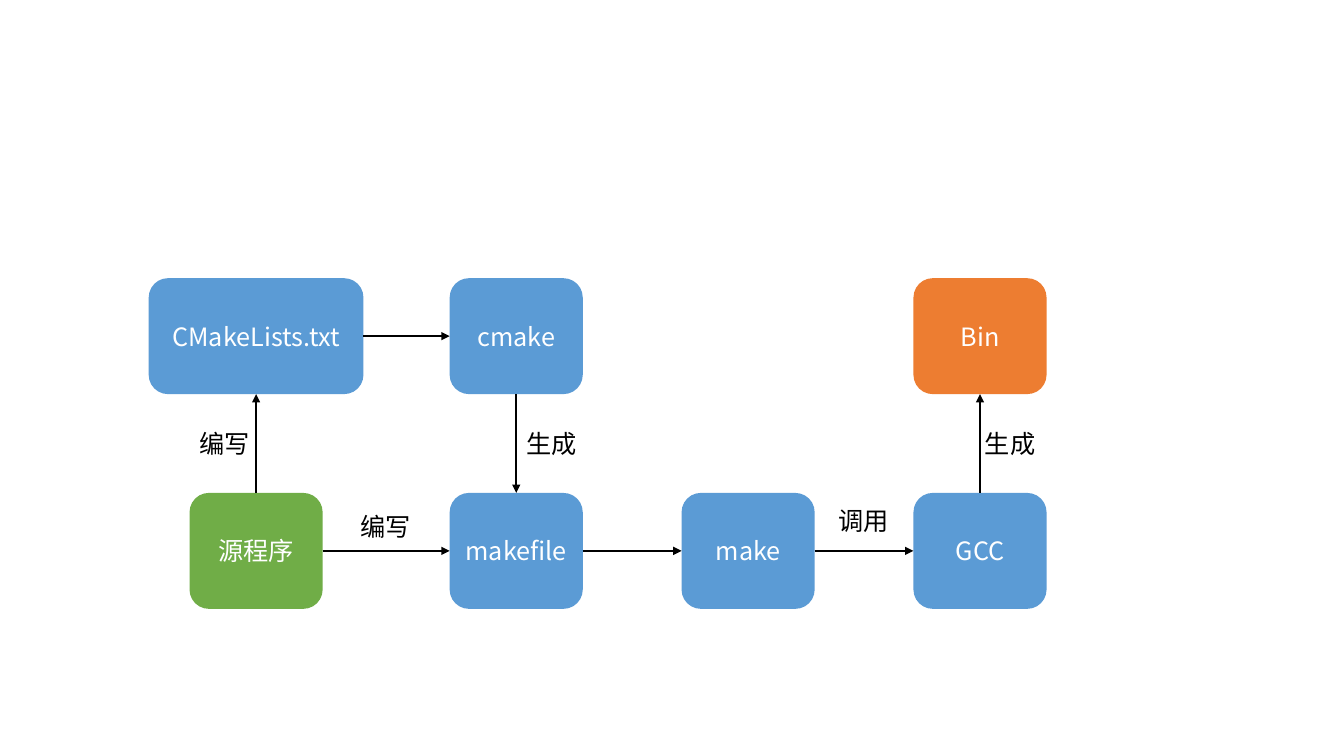
"""Build a slide showing how source code becomes a binary through cmake, make and GCC."""
import pptx
import pptx.dml.color
import pptx.enum.shapes
import pptx.enum.text
import pptx.oxml
import pptx.oxml.ns
import pptx.util
from pptx.util import Inches

COLORS = {
    "source": "70AD47",
    "step": "5B9BD5",
    "result": "ED7D31",
    "light": "FFFFFF",
    "dark": "000000",
}
FONT = "Noto Sans CJK SC"
UPPER_ROW, LOWER_ROW = 2.76, 4.89
NODE_WIDTH, NODE_HEIGHT = 1.32, 1.15
TOP, LEFT, BOTTOM, RIGHT = range(4)

NODES = {
    "源程序": (2.54, LOWER_ROW, "source", NODE_WIDTH),
    "CMakeLists.txt": (2.54, UPPER_ROW, "step", 2.13),
    "makefile": (5.12, LOWER_ROW, "step", NODE_WIDTH),
    "cmake": (5.12, UPPER_ROW, "step", NODE_WIDTH),
    "make": (7.42, LOWER_ROW, "step", NODE_WIDTH),
    "GCC": (9.72, LOWER_ROW, "step", NODE_WIDTH),
    "Bin": (9.72, UPPER_ROW, "result", NODE_WIDTH),
}
ARROWS = [
    ("源程序", TOP, "CMakeLists.txt", BOTTOM),
    ("CMakeLists.txt", RIGHT, "cmake", LEFT),
    ("cmake", BOTTOM, "makefile", TOP),
    ("源程序", RIGHT, "makefile", LEFT),
    ("makefile", RIGHT, "make", LEFT),
    ("make", RIGHT, "GCC", LEFT),
    ("GCC", TOP, "Bin", BOTTOM),
]
LABELS = [
    ("编写", 1.88, 4.2),
    ("编写", 3.48, 5.02),
    ("生成", 5.12, 4.2),
    ("调用", 8.22, 4.96),
    ("生成", 9.67, 4.2),
]


def rgb(name):
    return pptx.dml.color.RGBColor.from_string(COLORS[name])


def add_element(parent, tag, **attributes):
    element = pptx.oxml.parse_xml(f"<{tag} {pptx.oxml.ns.nsdecls('a')}/>")
    for key, value in attributes.items():
        element.set(key, value)
    parent.append(element)


def write_text(frame, text, color="dark", size=18, align="LEFT", anchor="TOP", wrap=True):
    frame.word_wrap = wrap
    frame.vertical_anchor = getattr(pptx.enum.text.MSO_ANCHOR, anchor)
    para = frame.paragraphs[0]
    para.alignment = getattr(pptx.enum.text.PP_ALIGN, align)
    span = para.add_run()
    span.text = text
    span.font.size = pptx.util.Pt(size)
    span.font.color.rgb = rgb(color)
    span.font.name = FONT
    add_element(span.font._element, "a:ea", typeface=FONT)


def add_node(page, text, center, top, color, width):
    node = page.shapes.add_shape(
        pptx.enum.shapes.MSO_SHAPE.ROUNDED_RECTANGLE,
        Inches(center - width / 2), Inches(top), Inches(width), Inches(NODE_HEIGHT))
    node.shadow.inherit = False
    node.fill.solid()
    node.fill.fore_color.rgb = rgb(color)
    node.line.fill.background()
    write_text(node.text_frame, text, color="light", align="CENTER", anchor="MIDDLE")
    return node


def add_arrow(page, start, start_site, end, end_site):
    arrow = page.shapes.add_connector(pptx.enum.shapes.MSO_CONNECTOR.STRAIGHT, 0, 0, 0, 0)
    arrow.begin_connect(start, start_site)
    arrow.end_connect(end, end_site)
    arrow.line.color.rgb = rgb("dark")
    arrow.line.width = pptx.util.Pt(1.5)
    add_element(arrow.line._get_or_add_ln(), "a:tailEnd", type="triangle")
    add_element(arrow._element.spPr, "a:effectLst")


def add_label(page, text, left, top):
    box = page.shapes.add_textbox(Inches(left), Inches(top), Inches(0.71), Inches(0.4))
    write_text(box.text_frame, text, wrap=False)
    box.text_frame.auto_size = pptx.enum.text.MSO_AUTO_SIZE.SHAPE_TO_FIT_TEXT


def main():
    deck = pptx.Presentation()
    deck.slide_width, deck.slide_height = Inches(13.33), Inches(7.5)
    page = deck.slides.add_slide(deck.slide_layouts[6])
    nodes = {text: add_node(page, text, *place) for text, place in NODES.items()}
    for start, start_site, end, end_site in ARROWS:
        add_arrow(page, nodes[start], start_site, nodes[end], end_site)
    for label in LABELS:
        add_label(page, *label)
    deck.save("out.pptx")


if __name__ == "__main__":
    main()
